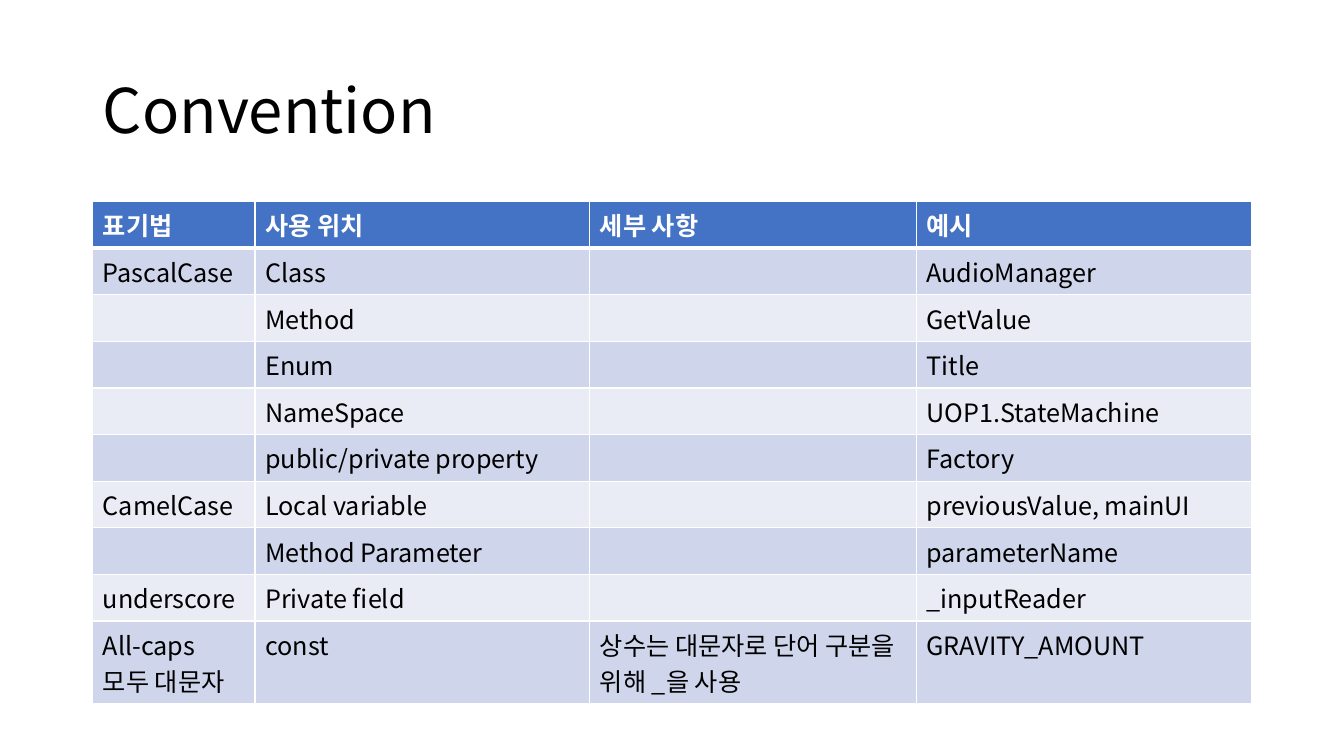
from lxml import etree
from pptx import Presentation
from pptx import util as u
from pptx.dml.color import RGBColor
from pptx.enum import text
from pptx.oxml import ns

THEME = {
    "font": "Noto Sans CJK KR",
    "title_size": 44, "body_size": 18,
    "ink": "000000", "white": "FFFFFF",
    "header": "4472C4", "bands": ("E9EBF5", "CFD5EA"),
    "rule": 1, "header_rule": 3,
}

CONVENTIONS = [
    ("표기법", "사용 위치", "세부 사항", "예시"),
    ("PascalCase", "Class", "", "AudioManager"),
    ("", "Method", "", "GetValue"),
    ("", "Enum", "", "Title"),
    ("", "NameSpace", "", "UOP1.StateMachine"),
    ("", "public/private property", "", "Factory"),
    ("CamelCase", "Local variable", "", "previousValue, mainUI"),
    ("", "Method Parameter", "", "parameterName"),
    ("underscore", "Private field", "", "_inputReader"),
    ("All-caps\n모두 대문자", "const", "상수는 대문자로 단어 구분을 위해 _을 사용", "GRAVITY_AMOUNT"),
]
COLUMN_WIDTHS = (1.61, 3.32, 3.24, 3.32)
ROW_HEIGHT = 0.41


def style_text(frame, size, color, bold=False):
    for paragraph in frame.paragraphs:
        for run in paragraph.runs:
            run.font.size = u.Pt(size)
            run.font.bold = bold
            run.font.color.rgb = RGBColor.from_string(color)
            run.font.name = THEME["font"]
            # Korean text takes its font from the East Asian setting
            east_asian = etree.SubElement(run.font._element, ns.qn("a:ea"))
            east_asian.set("typeface", THEME["font"])


def add_border(cell, side, width):
    line = etree.SubElement(cell._tc.get_or_add_tcPr(), ns.qn(f"a:ln{side}"), w=str(u.Pt(width)))
    fill = etree.SubElement(line, ns.qn("a:solidFill"))
    etree.SubElement(fill, ns.qn("a:srgbClr"), val=THEME["white"])


deck = Presentation()
deck.slide_width, deck.slide_height = u.Inches(13.33), u.Inches(7.5)
slide = deck.slides.add_slide(deck.slide_layouts[5])
left, width = u.Inches(0.92), u.Inches(11.5)

# Title
title = slide.shapes.title
title.left, title.top, title.width, title.height = left, u.Inches(0.4), width, u.Inches(1.45)
title.text_frame.text = "Convention"
title.text_frame.vertical_anchor = text.MSO_ANCHOR.MIDDLE
title.text_frame.paragraphs[0].alignment = text.PP_ALIGN.LEFT
title.text_frame.paragraphs[0].line_spacing = 0.9
style_text(title.text_frame, THEME["title_size"], THEME["ink"])

# Table of naming conventions
conventions = slide.shapes.add_table(
    len(CONVENTIONS), len(COLUMN_WIDTHS), left, u.Inches(2), width,
    u.Inches(ROW_HEIGHT * len(CONVENTIONS))).table
for column, column_width in zip(conventions.columns, COLUMN_WIDTHS):
    column.width = u.Inches(column_width)

# Header row in blue, then alternating bands
for r, entries in enumerate(CONVENTIONS):
    conventions.rows[r].height = u.Inches(ROW_HEIGHT)
    is_header = r == 0
    band = THEME["header"] if is_header else THEME["bands"][r % 2]
    for c, entry in enumerate(entries):
        cell = conventions.cell(r, c)
        cell.text_frame.text = entry
        style_text(cell.text_frame, THEME["body_size"],
                   THEME["white"] if is_header else THEME["ink"], is_header)
        for side in "LRTB":
            under_header = (r, side) in ((0, "B"), (1, "T"))
            add_border(cell, side, THEME["header_rule" if under_header else "rule"])
        cell.fill.solid()
        cell.fill.fore_color.rgb = RGBColor.from_string(band)

deck.save("out.pptx")
